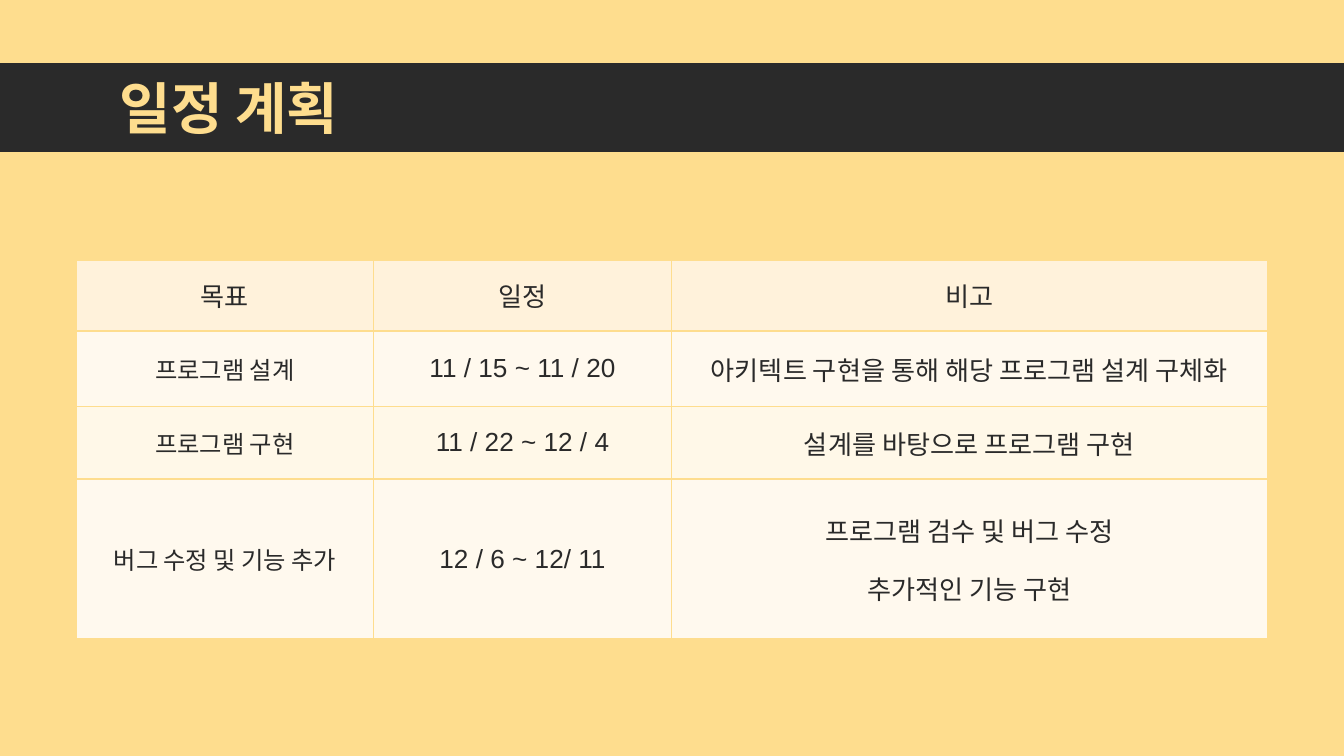
from lxml import etree
from pptx import Presentation
from pptx.dml.color import RGBColor
from pptx.enum.shapes import MSO_SHAPE
from pptx.enum.text import MSO_ANCHOR, MSO_AUTO_SIZE, PP_ALIGN
from pptx.oxml.ns import qn
from pptx.util import Pt

RECTANGLE = MSO_SHAPE.RECTANGLE
MIDDLE = MSO_ANCHOR.MIDDLE
NO_AUTOFIT = MSO_AUTO_SIZE.NONE
LEFT, CENTER = PP_ALIGN.LEFT, PP_ALIGN.CENTER

YELLOW, DARK = "FEDD8E", "2A2A2A"
TITLE_FONT, TABLE_FONT = "Noto Sans CJK KR", "Arial"
BAND_TOP, BAND_HEIGHT = 33.84, 47.52


def paint(fill, color):
    fill.solid()
    fill.fore_color.rgb = RGBColor.from_string(color)


def add_text(para, text, color, **font_values):
    span = para.add_run()
    span.text = text
    for name, value in font_values.items():
        setattr(span.font, name, value)
    paint(span.font.fill, color)
    return span


# Deck and page
deck = Presentation()
deck.slide_width, deck.slide_height = Pt(720), Pt(405)
page = deck.slides.add_slide(deck.slide_layouts[5])
paint(page.background.fill, YELLOW)

# Dark band, placed behind the title
band = page.shapes.add_shape(RECTANGLE, 0, Pt(BAND_TOP), Pt(720), Pt(BAND_HEIGHT))
band.shadow.inherit = False
paint(band.fill, DARK)
band.line.fill.background()
title = page.shapes.title
title.element.addprevious(band.element)

# Title
title.left, title.top = Pt(56.88), Pt(BAND_TOP)
title.width, title.height = Pt(491), Pt(BAND_HEIGHT)
frame_format = {"vertical_anchor": MIDDLE, "auto_size": NO_AUTOFIT, "word_wrap": True}
for side in ("left", "top", "right", "bottom"):
    frame_format[f"margin_{side}"] = Pt(7.2)
for name, value in frame_format.items():
    setattr(title.text_frame, name, value)
para = title.text_frame.paragraphs[0]
para.alignment = LEFT
span = add_text(para, "일정 계획", YELLOW, name=TITLE_FONT, size=Pt(30), bold=True)
east_asian = etree.SubElement(span.font._element, qn("a:ea"))
east_asian.set("typeface", TITLE_FONT)

# Schedule: row height, fill, size of the first column, cell texts
schedule = [
    (27.4, YELLOW, 14, ()),
    (38.9, "FFF2DB", 14, ("목표", "일정", "비고")),
    (40.3, "FFF9EE", 13, ("프로그램 설계", "11 / 15 ~ 11 / 20",
                          "아키텍트 구현을 통해 해당 프로그램 설계 구체화")),
    (38.9, "FFF8E8", 13, ("프로그램 구현", "11 / 22 ~ 12 / 4",
                          "설계를 바탕으로 프로그램 구현")),
    (85.7, "FFF9EE", 13, ("버그 수정 및 기능 추가", "12 / 6 ~ 12/ 11",
                          "프로그램 검수 및 버그 수정\n추가적인 기능 구현")),
]
column_count, column_width = 4, 159.6
table_height = sum(row[0] for row in schedule)
table = page.shapes.add_table(
    len(schedule), column_count, Pt(40.6), Pt(109.4),
    Pt(column_count * column_width), Pt(table_height)).table
table.first_row = table.horz_banding = False
for column in table.columns:
    column.width = Pt(column_width)

for row_index, (height, color, first_size, texts) in enumerate(schedule):
    table.rows[row_index].height = Pt(height)

    # Borders and fills
    for cell in table.rows[row_index].cells:
        properties = cell._tc.get_or_add_tcPr()
        for edge in ("lnL", "lnR", "lnT", "lnB"):
            border = etree.SubElement(properties, qn(f"a:{edge}"))
            border.set("w", str(Pt(3 if row_index == 0 and edge == "lnB" else 1)))
            line_fill = etree.SubElement(border, qn("a:solidFill"))
            etree.SubElement(line_fill, qn("a:srgbClr")).set("val", YELLOW)
        paint(cell.fill, color)
        cell.vertical_anchor = MIDDLE

    # Texts, with the remarks across the last two columns
    if texts:
        table.cell(row_index, 2).merge(table.cell(row_index, 3))
    for column_index, text in enumerate(texts):
        frame = table.cell(row_index, column_index).text_frame
        size = first_size if column_index == 0 else 14
        for line_index, line in enumerate(text.split("\n")):
            para = frame.add_paragraph() if line_index else frame.paragraphs[0]
            para.alignment = CENTER
            if line_index:
                para.line_spacing = 1.5
            add_text(para, line, DARK, name=TABLE_FONT, size=Pt(size))

deck.save("out.pptx")
